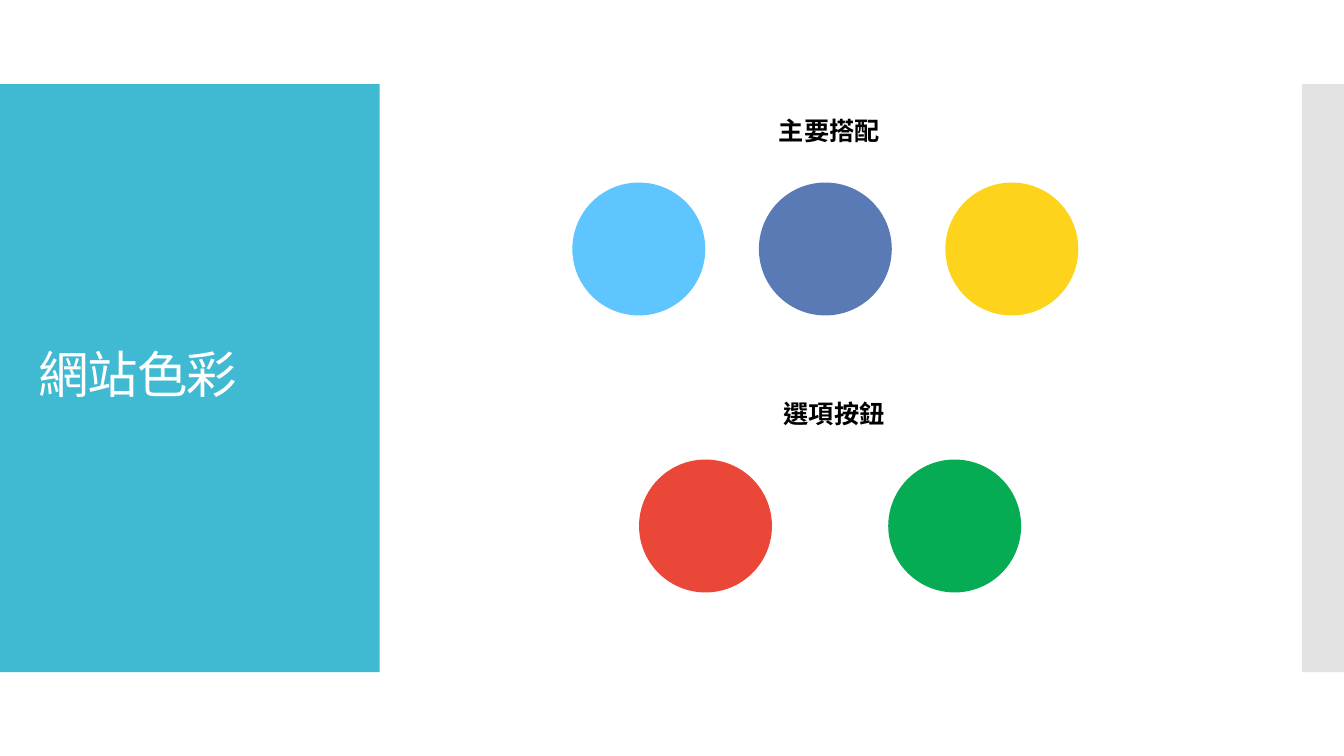
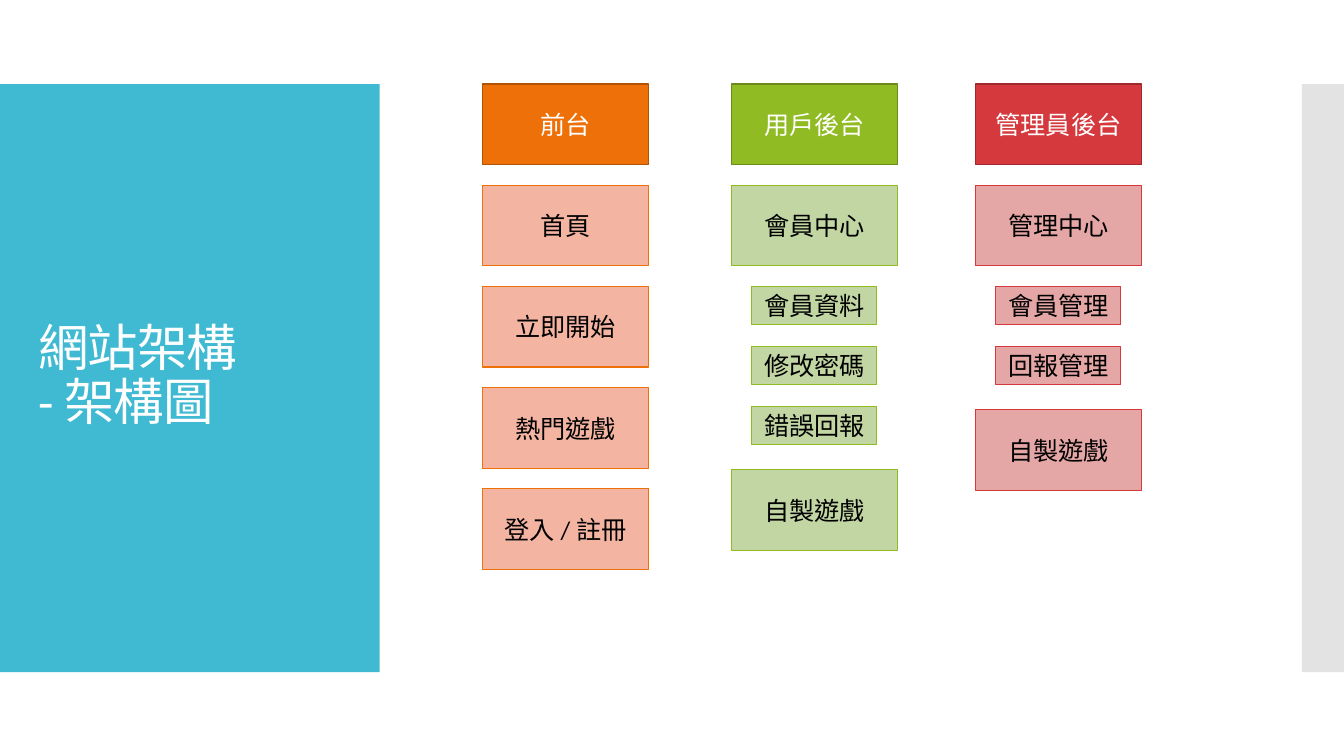
from lxml import etree
from pptx import Presentation
from pptx.dml.color import RGBColor
from pptx.enum.lang import MSO_LANGUAGE_ID
from pptx.enum.shapes import MSO_SHAPE
from pptx.enum.text import MSO_ANCHOR, PP_ALIGN
from pptx.oxml.ns import qn
from pptx.util import Cm, Pt

RECT, OVAL = MSO_SHAPE.RECTANGLE, MSO_SHAPE.OVAL
MIDDLE, TOP = MSO_ANCHOR.MIDDLE, MSO_ANCHOR.TOP
LEFT, CENTER = PP_ALIGN.LEFT, PP_ALIGN.CENTER
CHINESE = MSO_LANGUAGE_ID.TRADITIONAL_CHINESE

THEME = {
    "panel": "40BAD2",
    "edge": "C8C8C8",
    "title": {"size": Pt(36), "color": "FFFFFF"},
    "label": {"size": Pt(18), "color": "000000", "bold": True},
    "header": {"size": Pt(18), "color": "FFFFFF"},
    "page": {"size": Pt(18), "color": "000000"},
    # header fill, header line, page fill; pages are outlined in the header fill
    "orange": ("EE7008", "B05306", "F4B4A2"),
    "green": ("90BB23", "6B8A1A", "C1D6A3"),
    "red": ("D5393D", "9E2A2D", "E5A6A6"),
}


def add_filled(s, kind, at, fill, line=None, line_width=0.75):
    sp = s.shapes.add_shape(kind, *(Cm(v) for v in at))
    sp.shadow.inherit = False
    sp.fill.solid()
    sp.fill.fore_color.rgb = RGBColor.from_string(fill)
    if line:
        sp.line.color.rgb = RGBColor.from_string(line)
        sp.line.width = Pt(line_width)
    else:
        sp.line.fill.background()
    return sp


def write(sp, text, style, align=CENTER, anchor=MIDDLE, wrap=True):
    """Fill a shape with one paragraph and return that paragraph."""
    tf = sp.text_frame
    tf.word_wrap, tf.vertical_anchor = wrap, anchor
    p = tf.paragraphs[0]
    p.text, p.alignment = text, align
    font_values = {"name": "Calibri", "language_id": CHINESE, **style}
    color = RGBColor.from_string(font_values.pop("color"))
    for r in p.runs:
        for name, value in font_values.items():
            setattr(r.font, name, value)
        r.font.color.rgb = color
    return p


prs = Presentation()
prs.slide_width, prs.slide_height = Cm(33.87), Cm(19.05)
BAND_TOP, BAND_HEIGHT = 2.12, 14.82

# Side bands and title of every slide
slides = []
for title in ("網站色彩", "網站架構\n- 架構圖"):
    s = prs.slides.add_slide(prs.slide_layouts[6])
    slides.append(s)
    add_filled(s, RECT, (0, BAND_TOP, 9.57, BAND_HEIGHT), THEME["panel"])
    edge = add_filled(s, RECT, (32.81, BAND_TOP, 1.06, BAND_HEIGHT), THEME["edge"])
    rgb = edge.fill._xPr.find(".//" + qn("a:srgbClr"))
    etree.SubElement(rgb, qn("a:alpha"), val="50000")
    box = s.shapes.add_textbox(Cm(0.71), Cm(3.12), Cm(8.18), Cm(12.78))
    p = write(box, title, THEME["title"], align=LEFT)
    p.line_spacing = 0.9
    for r in p.runs:
        r._r.get_or_add_rPr().set("spc", "-60")
colors_slide, structure_slide = slides

# Colour swatches: label, label top, circle top, centre, pitch, colours
DIAMETER = 3.35
LABEL_WIDTH, LABEL_HEIGHT = 3.07, 1.02
swatch_rows = [
    ("主要搭配", 2.79, 4.6, 20.8, 4.7, ("5EC5FF", "5A7AB5", "FDD31C")),
    ("選項按鈕", 9.91, 11.58, 20.92, 6.28, ("EA4738", "05AC54")),
]
for label, label_top, top, center, pitch, fills in swatch_rows:
    box = colors_slide.shapes.add_textbox(
        Cm(center + 0.1 - LABEL_WIDTH / 2), Cm(label_top), Cm(LABEL_WIDTH), Cm(LABEL_HEIGHT))
    write(box, label, THEME["label"], anchor=TOP, wrap=False)
    first = center - pitch * (len(fills) - 1) / 2 - DIAMETER / 2
    for i, fill in enumerate(fills):
        add_filled(colors_slide, OVAL, (first + i * pitch, top, DIAMETER, DIAMETER), fill)

# Site structure: left, palette, header, pages with their subpages
PAGE_WIDTH, PAGE_HEIGHT, PAGE_PITCH = 4.17, 2.03, 2.55
SUB_WIDTH, SUB_HEIGHT, SUB_PITCH = 3.15, 0.97, 1.51
SUB_INSET = (PAGE_WIDTH - SUB_WIDTH) / 2
GROUP_GAP = 0.09
columns = [
    (12.17, "orange", "前台",
     [("首頁", []), ("立即開始", []), ("熱門遊戲", []), ("登入 / 註冊", [])]),
    (18.44, "green", "用戶後台",
     [("會員中心", ["會員資料", "修改密碼", "錯誤回報"]), ("自製遊戲", [])]),
    (24.59, "red", "管理員後台",
     [("管理中心", ["會員管理", "回報管理"]), ("自製遊戲", [])]),
]
for left, palette, header, pages in columns:
    strong, dark, pale = THEME[palette]
    top = BAND_TOP
    sp = add_filled(structure_slide, RECT, (left, top, PAGE_WIDTH, PAGE_HEIGHT),
                    strong, dark, 0.85)
    write(sp, header, THEME["header"])
    top += PAGE_PITCH
    for page, subpages in pages:
        sp = add_filled(structure_slide, RECT, (left, top, PAGE_WIDTH, PAGE_HEIGHT),
                        pale, strong)
        write(sp, page, THEME["page"])
        top += PAGE_PITCH
        for subpage in subpages:
            sp = add_filled(structure_slide, RECT,
                            (left + SUB_INSET, top, SUB_WIDTH, SUB_HEIGHT), pale, strong)
            write(sp, subpage, THEME["page"])
            top += SUB_PITCH
        if subpages:
            top += GROUP_GAP

prs.save("out.pptx")
